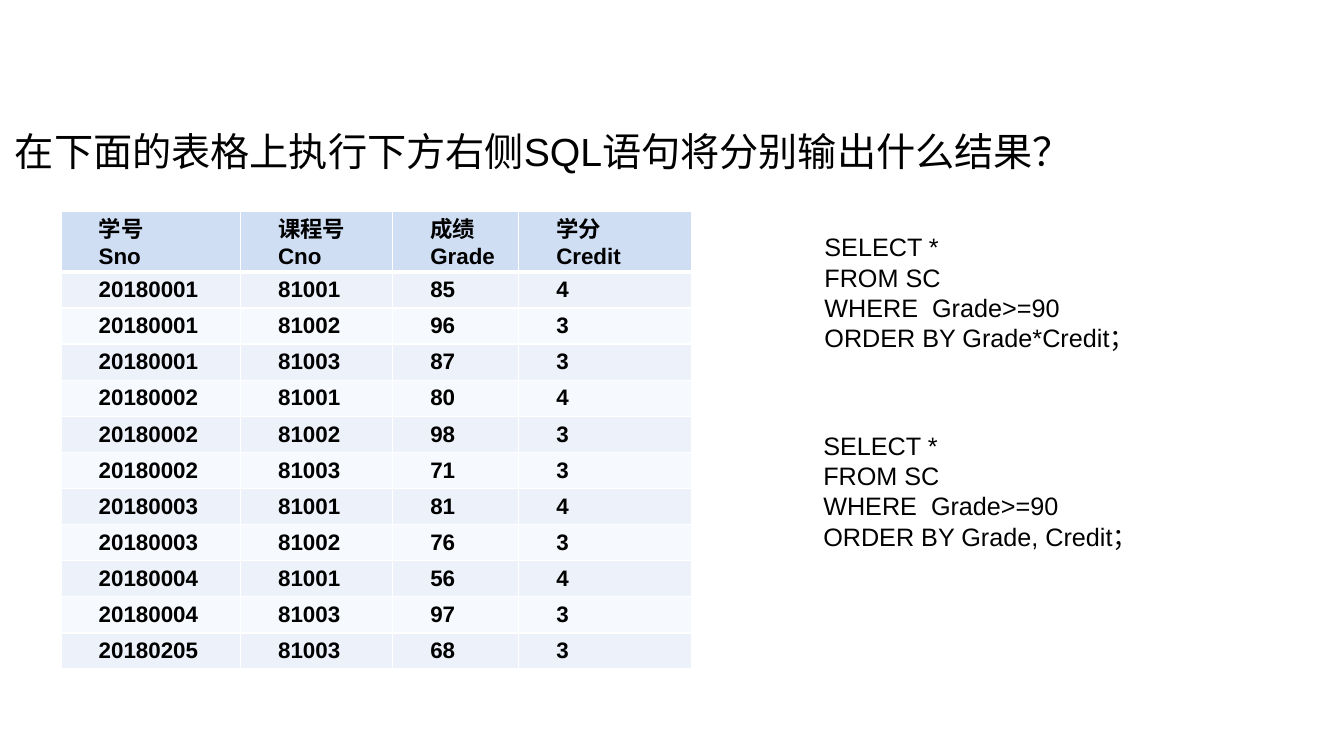
import dataclasses
import lxml.etree
import pptx
import pptx.dml.color
import pptx.enum.text
import pptx.oxml.ns
import pptx.table
import pptx.text.text
import pptx.util

Pt = pptx.util.Pt
ALIGN = pptx.enum.text.PP_ALIGN
ANCHOR = pptx.enum.text.MSO_ANCHOR


@dataclasses.dataclass
class Box:
    text: str
    left: float
    top: float
    width: float
    height: float
    size: float = 18
    align: ALIGN = ALIGN.LEFT
    space: float = 1


BOXES = [
    Box("在下面的表格上执行下方右侧SQL语句将分别输出什么结果？",
        3.6, 77, 937.5, 51, size=28, align=ALIGN.JUSTIFY, space=1.3),
    Box("SELECT *\nFROM SC\nWHERE  Grade>=90\nORDER BY Grade*Credit；",
        581.8, 162, 293.8, 94.3),
    Box("SELECT *\nFROM SC\nWHERE  Grade>=90\nORDER BY Grade, Credit；",
        581, 303.8, 293.8, 94.3),
]

HEAD = ("学号\nSno", "课程号\nCno", "成绩\nGrade", "学分\nCredit")
GRADES = [
    ("20180001", "81001", "85", "4"),
    ("20180001", "81002", "96", "3"),
    ("20180001", "81003", "87", "3"),
    ("20180002", "81001", "80", "4"),
    ("20180002", "81002", "98", "3"),
    ("20180002", "81003", "71", "3"),
    ("20180003", "81001", "81", "4"),
    ("20180003", "81002", "76", "3"),
    ("20180004", "81001", "56", "4"),
    ("20180004", "81003", "97", "3"),
    ("20180205", "81003", "68", "3"),
]
WIDTHS = (128.2, 108.7, 90, 123.8)
HEAD_H, ROW_H = 43, 25.8


def color(code: str) -> pptx.dml.color.RGBColor:
    return pptx.dml.color.RGBColor.from_string(code)


def write(frame: pptx.text.text.TextFrame, text: str, *, size: float,
          bold: bool = False, align: ALIGN = ALIGN.LEFT,
          space: float = 1, indent: float = 0) -> None:
    frame.word_wrap = True
    for i, line in enumerate(text.split("\n")):
        para = frame.add_paragraph() if i else frame.paragraphs[0]
        para.alignment = align
        para.line_spacing = space
        if indent:
            props = para._p.get_or_add_pPr()
            props.set("marL", "0")
            props.set("indent", str(int(Pt(indent))))
        run = para.add_run()
        run.text = line
        run.font.name = "Arial"
        run.font.size = Pt(size)
        run.font.bold = bold
        run.font.color.rgb = color("000000")


def edge(cell: pptx.table._Cell, side: str, width: float) -> None:
    qn = pptx.oxml.ns.qn
    line = lxml.etree.SubElement(
        cell._tc.get_or_add_tcPr(), qn(f"a:ln{side}"), w=str(int(Pt(width))))
    fill = lxml.etree.SubElement(line, qn("a:solidFill"))
    lxml.etree.SubElement(fill, qn("a:srgbClr"), val="FFFFFF")


def style(cell: pptx.table._Cell, text: str, row: int) -> None:
    cell.margin_left = cell.margin_right = Pt(5.4)
    cell.margin_top = cell.margin_bottom = 0
    cell.vertical_anchor = ANCHOR.MIDDLE if row else ANCHOR.TOP
    for side in "LRTB":
        thick = (row, side) in ((0, "B"), (1, "T"))
        edge(cell, side, 3 if thick else 1)
    cell.fill.solid()
    stripe = "EDF2FA" if row % 2 else "F6F9FD"
    cell.fill.fore_color.rgb = color(stripe if row else "CFDEF3")
    write(cell.text_frame, text, size=16, bold=True, indent=21.6)


def main() -> None:
    deck = pptx.Presentation()
    deck.slide_width, deck.slide_height = Pt(960), Pt(540)
    shapes = deck.slides.add_slide(deck.slide_layouts[6]).shapes

    for box in BOXES:
        item = shapes.add_textbox(
            Pt(box.left), Pt(box.top), Pt(box.width), Pt(box.height))
        write(item.text_frame, box.text, size=box.size,
              align=box.align, space=box.space)

    rows = [HEAD, *GRADES]
    table = shapes.add_table(
        len(rows), len(WIDTHS), Pt(43.5), Pt(151.2), Pt(sum(WIDTHS)),
        Pt(HEAD_H + ROW_H * len(GRADES))).table
    for col, width in zip(table.columns, WIDTHS):
        col.width = Pt(width)
    for r, texts in enumerate(rows):
        table.rows[r].height = Pt(ROW_H if r else HEAD_H)
        for c, text in enumerate(texts):
            style(table.cell(r, c), text, r)

    deck.save("out.pptx")


if __name__ == "__main__":
    main()
